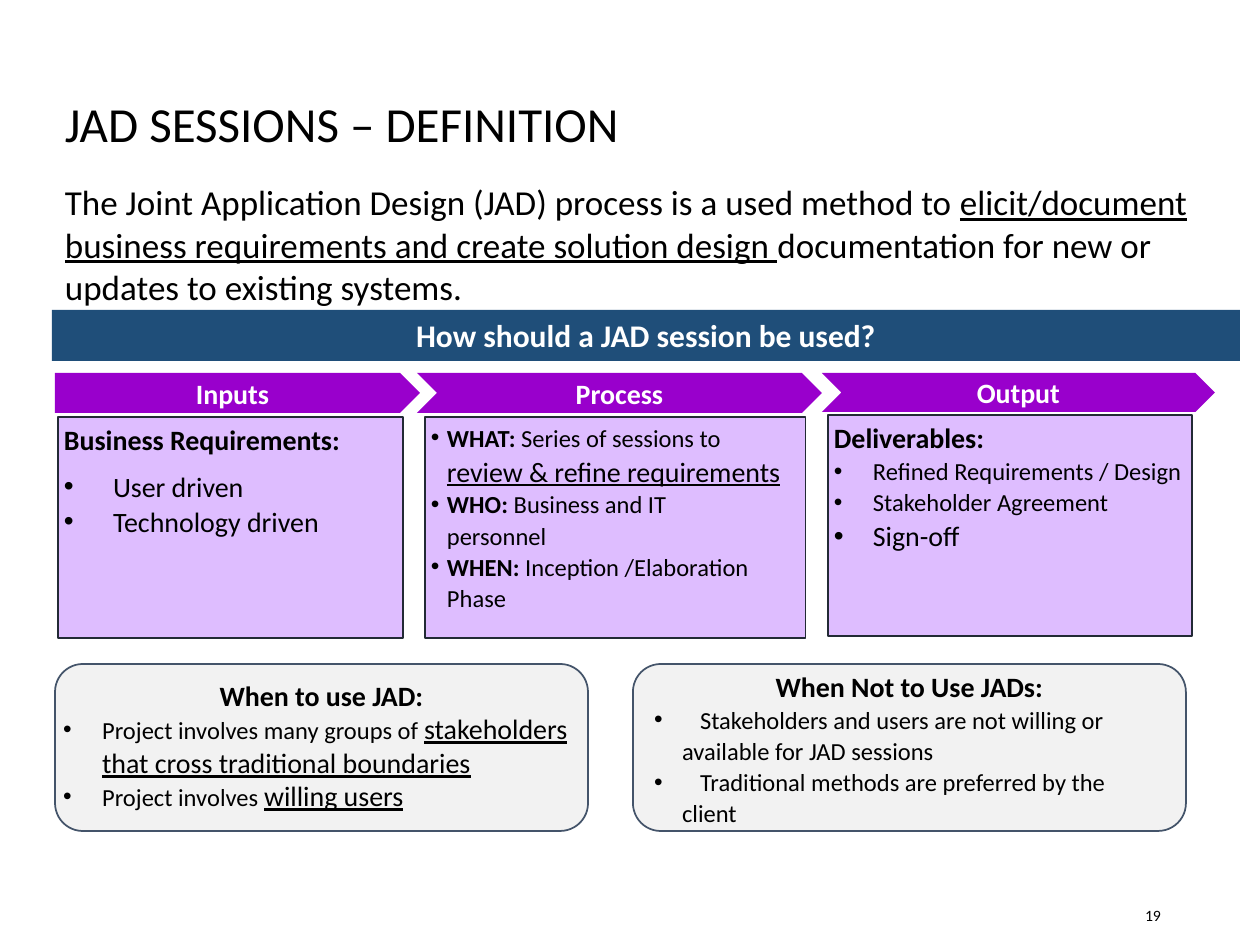
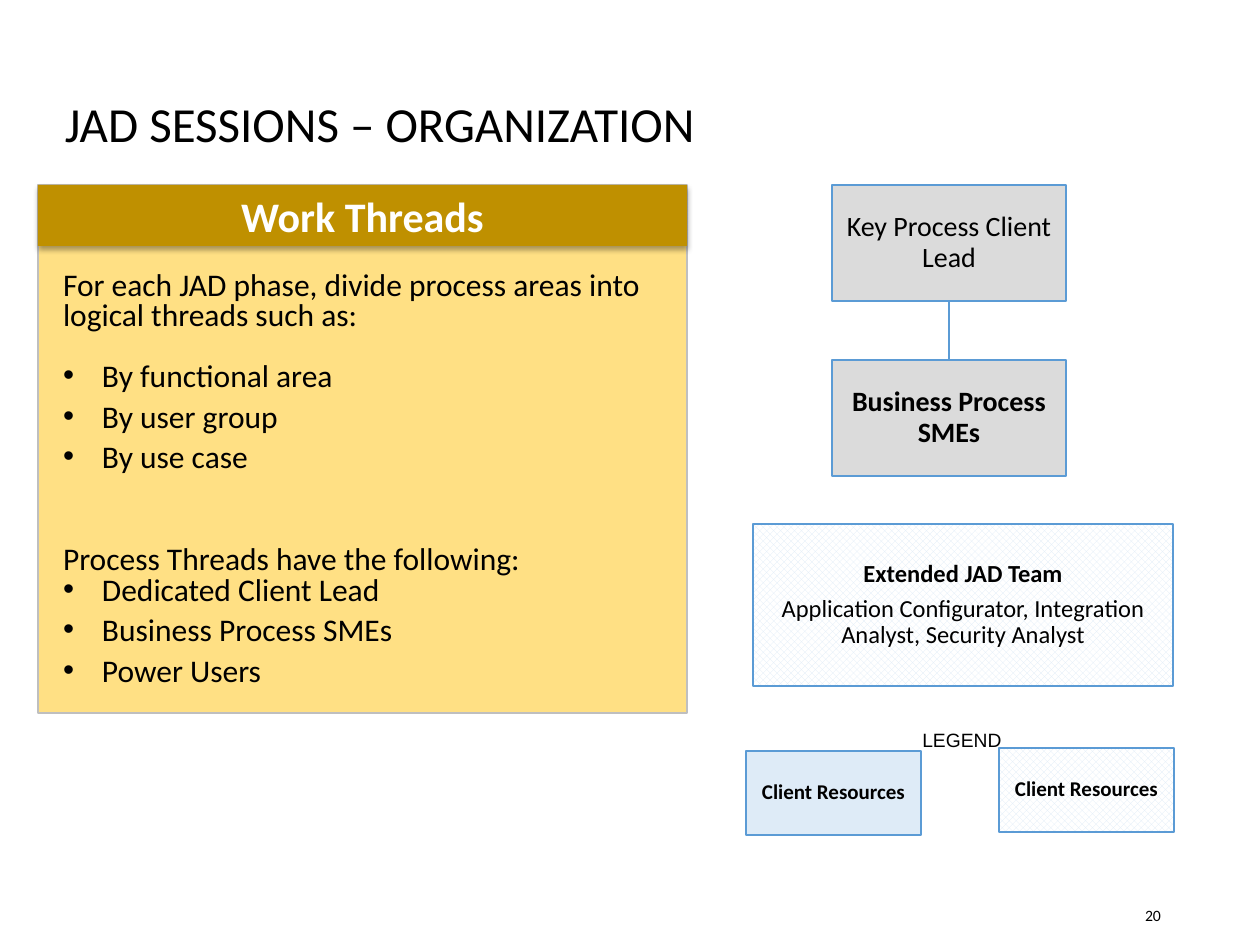
import pptx
import pptx.util
import pptx.dml.color
import pptx.enum.dml
import pptx.enum.shapes
import pptx.enum.text
import pptx.oxml
import pptx.oxml.ns

PX = 914400 / 126
FONT = "Calibri"
SHAPES = pptx.enum.shapes.MSO_SHAPE
ALIGN = pptx.enum.text.PP_ALIGN
ANCHOR = pptx.enum.text.MSO_ANCHOR
BLACK, WHITE, BLUE, PALE_BLUE = "000000", "FFFFFF", "5B9BD5", "DEEBF7"
NAVY, PURPLE, LILAC, INK = "1F4E79", "9900CC", "DEBDFF", "222A35"
CARD_GREY, CARD_LINE, GREY = "F2F2F2", "44546A", "DBDBDB"
GOLD, YELLOW, YELLOW_LINE = "BF9000", "FFD966", "BFBFBF"
TITLE_AREA, NUMBER_AREA = (52, 86, 1097, 82), (890, 890, 284, 50)
TIGHT = (6, 4, 6, 4)

# Span formats; a paragraph is (spans, format), a span is text or (text, format)
BOLD = {"bold": True}
MARKED = {"underline": True}
BIG_MARKED = {"underline": True, "size": 16}
CENTRED = {"align": ALIGN.CENTER}

# Content of the definition slide
DEFINITION_TITLE = "JAD SESSIONS – DEFINITION"
DEFINITION = [([
    "The Joint Application Design (JAD) process is a used method to ",
    ("elicit/document business requirements and create solution design ", MARKED),
    "documentation for new or updates to existing systems."], {})]
QUESTION = "How should a JAD session be used?"
STAGES = [
    {"name": "Inputs", "arrow": (55, 373, 365, 40), "panel": (58, 417, 345, 221),
     "arrow_shape": SHAPES.PENTAGON, "size": 16, "body": [
         ([("Business Requirements:", BOLD)], {"after": 6}),
         (["User driven"], {"hang": 49}),
         (["Technology driven"], {"hang": 49})]},
    {"name": "Process", "arrow": (417, 373, 405, 40), "panel": (425, 417, 381, 221),
     "arrow_shape": SHAPES.CHEVRON, "size": 14, "body": [
         ([("WHAT: ", BOLD), "Series of sessions to ",
           ("review & refine requirements", BIG_MARKED)], {"hang": 16}),
         ([("WHO: ", BOLD), "Business and IT"], {"hang": 16}),
         (["personnel"], {"left": 16}),
         ([("WHEN: ", BOLD), "Inception /Elaboration Phase"], {"hang": 16})]},
    {"name": "Output", "arrow": (822, 373, 393, 39), "panel": (828, 415, 364, 221),
     "arrow_shape": SHAPES.CHEVRON, "size": 14, "body": [
         ([("Deliverables:", {"bold": True, "size": 16})], {}),
         (["Refined Requirements / Design"], {"hang": 39}),
         (["Stakeholder Agreement"], {"hang": 39}),
         ([("Sign-off", {"size": 16})], {"hang": 39})]},
]
HEADING = {"bold": True, "size": 16}
CARDS = [
    ((55, 664, 533, 167), {"insets": (0, 6, 0, 6)}, [
        ([("When to use JAD:", HEADING)], CENTRED),
        (["Project involves many groups of ",
          ("stakeholders that cross traditional boundaries", BIG_MARKED)], {"hang": 39}),
        (["Project involves ", ("willing users", BIG_MARKED)], {"hang": 39})]),
    ((633, 664, 553, 167), {"anchor": ANCHOR.MIDDLE, "spacing": 1.06}, [
        ([("When Not to Use JADs:", HEADING)], CENTRED),
        (["Stakeholders and users are not willing or"], {"hang": 46}),
        (["available for JAD sessions"], {"left": 28}),
        (["Traditional methods are preferred by the"], {"hang": 46}),
        (["client"], {"left": 28})]),
]

# Content of the organization slide
ORGANIZATION_TITLE = "JAD SESSIONS – ORGANIZATION"
THREADS_HEADING = "Work Threads"
LISTS = [
    ("For each JAD phase, divide process areas into logical threads such as:",
     {"after": 17.5}, ["By functional area", "By user group", "By use case"]),
    ("Process Threads have the following:",
     {"before": 35}, ["Dedicated Client Lead", "Business Process SMEs", "Power Users"]),
]
CLIENT_LEAD = [(["Key Process Client Lead"], {})]
PROCESS_SMES = [([("Business Process SMEs", BOLD)], {})]
EXTENDED_TEAM = [
    ([("Extended JAD Team", BOLD)], {"after": 5}),
    (["Application Configurator, Integration Analyst, Security Analyst"], {})]
LEGEND_TITLE = "LEGEND"
LEGEND_ENTRY = [([("Client Resources", BOLD)], {})]


def px(length):
    return pptx.util.Emu(round(length * PX))


def colour(code):
    return pptx.dml.color.RGBColor.from_string(code)


def add_xml(parent, tag, **attributes):
    """Append one DrawingML element and return it."""
    child = pptx.oxml.parse_xml(f"<a:{tag} {pptx.oxml.ns.nsdecls('a')}/>")
    for name, value in attributes.items():
        child.set(name, str(value))
    parent.append(child)
    return child


def write(shape, text, size=14, color=BLACK, bold=False, font=FONT, align=ALIGN.LEFT,
          anchor=ANCHOR.TOP, insets=(13, 6, 13, 6), spacing=1.0):
    """Fill a shape with a string or a list of (spans, format) paragraphs."""
    frame = shape.text_frame
    frame.word_wrap = True
    frame.auto_size = pptx.enum.text.MSO_AUTO_SIZE.NONE
    frame.vertical_anchor = anchor
    (frame.margin_left, frame.margin_top,
     frame.margin_right, frame.margin_bottom) = map(px, insets)
    paragraphs = [([text], {})] if isinstance(text, str) else text
    for index, (spans, form) in enumerate(paragraphs):
        para = frame.add_paragraph() if index else frame.paragraphs[0]
        para.alignment = form.get("align", align)
        para.line_spacing = spacing
        para.space_before = pptx.util.Pt(form.get("before", 0))
        para.space_after = pptx.util.Pt(form.get("after", 0))
        hang = form.get("hang", 0)
        properties = para._p.get_or_add_pPr()
        properties.set("marL", str(px(form.get("left", hang))))
        properties.set("indent", str(px(-hang)))
        if hang:
            add_xml(properties, "buFont", typeface="Arial")
            add_xml(properties, "buChar", char="•")
        for item in spans:
            words, look = (item, {}) if isinstance(item, str) else item
            span = para.add_run()
            span.text = words
            span.font.name = font
            span.font.size = pptx.util.Pt(look.get("size", size))
            span.font.bold = look.get("bold", bold)
            span.font.underline = look.get("underline", False)
            span.font.color.rgb = colour(color)


def add_label(page, area, text, **form):
    box = page.shapes.add_textbox(*map(px, area))
    write(box, text, **form)
    return box


def add_box(page, area, text, fill, kind=SHAPES.RECTANGLE, line=None, line_width=0.75,
            pattern=False, **form):
    box = page.shapes.add_shape(kind, *map(px, area))
    box.shadow.inherit = False
    if pattern:
        box.fill.patterned()
        box.fill.pattern = pptx.enum.dml.MSO_PATTERN.OUTLINED_DIAMOND
        box.fill.fore_color.rgb = colour(fill)
        box.fill.back_color.rgb = colour(WHITE)
    else:
        box.fill.solid()
        box.fill.fore_color.rgb = colour(fill)
    if line:
        box.line.color.rgb = colour(line)
        box.line.width = pptx.util.Pt(line_width)
    else:
        box.line.fill.background()
    write(box, text, **form)
    return box


def add_page(deck, title, number):
    """Start a slide with the shared title and slide number."""
    page = deck.slides.add_slide(deck.slide_layouts[5])
    holder = page.shapes.title
    holder.left, holder.top, holder.width, holder.height = map(px, TITLE_AREA)
    write(holder, title, size=28, anchor=ANCHOR.MIDDLE, spacing=0.9)
    add_label(page, NUMBER_AREA, str(number), size=9, align=ALIGN.RIGHT,
              anchor=ANCHOR.MIDDLE)
    return page


def build_definition(deck):
    page = add_page(deck, DEFINITION_TITLE, 19)
    add_label(page, (52, 175, 1208, 140), DEFINITION, size=20)
    banner = {"color": WHITE, "bold": True, "align": ALIGN.CENTER}
    add_box(page, (52, 310, 1188, 51), QUESTION, NAVY, size=18, **banner)
    # Input, process and output columns
    for stage in STAGES:
        add_box(page, stage["arrow"], stage["name"], PURPLE, kind=stage["arrow_shape"],
                size=16, anchor=ANCHOR.MIDDLE, insets=(0, 6, 0, 6), **banner)
        add_box(page, stage["panel"], stage["body"], LILAC, line=INK,
                size=stage["size"], insets=TIGHT, spacing=1.06)
    # Advice cards
    for area, form, body in CARDS:
        add_box(page, area, body, CARD_GREY, kind=SHAPES.ROUNDED_RECTANGLE,
                line=CARD_LINE, line_width=1, **form)


def build_organization(deck):
    page = add_page(deck, ORGANIZATION_TITLE, 20)
    # Client chain
    node = {"align": ALIGN.CENTER, "anchor": ANCHOR.MIDDLE, "insets": TIGHT,
            "spacing": 0.9, "line": BLUE}
    lead, smes = [add_box(page, (832, top, 234, 116), text, GREY, size=16, **node)
                  for top, text in ((185, CLIENT_LEAD), (360, PROCESS_SMES))]
    link = page.shapes.add_connector(pptx.enum.shapes.MSO_CONNECTOR.STRAIGHT, 0, 0, 0, 0)
    link.begin_connect(lead, 2)
    link.end_connect(smes, 0)
    link.line.color.rgb = colour(BLUE)
    link.line.width = pptx.util.Pt(1)
    add_xml(link._element.spPr, "effectLst")
    # Extended team and legend
    add_box(page, (753, 524, 420, 162), EXTENDED_TEAM, PALE_BLUE, pattern=True, **node)
    for left, top, pattern in ((746, 751, False), (999, 748, True)):
        add_box(page, (left, top, 175, 84), LEGEND_ENTRY, PALE_BLUE, pattern=pattern,
                size=12, **node)
    add_label(page, (839, 721, 246, 35), LEGEND_TITLE, size=11, font="Arial",
              align=ALIGN.CENTER, spacing=1.06)
    # Work threads panel and its heading
    threads = []
    for intro, gaps, entries in LISTS:
        threads.append(([intro], gaps))
        threads += [([entry], {"hang": 39, "after": 6}) for entry in entries]
    panel = add_box(page, (38, 185, 649, 528), threads, YELLOW, line=YELLOW_LINE,
                    size=18, insets=(25, 87, 13, 13), spacing=0.8)
    tint = panel._element.spPr.find(".//" + pptx.oxml.ns.qn("a:srgbClr"))
    add_xml(tint, "alpha", val=80000)
    heading = add_box(page, (38, 185, 649, 61), THREADS_HEADING, GOLD, size=24,
                      color=WHITE, bold=True, align=ALIGN.CENTER, anchor=ANCHOR.MIDDLE)
    effects = heading._element.spPr.find(pptx.oxml.ns.qn("a:effectLst"))
    shadow = add_xml(effects, "outerShdw", blurRad=39370, dist=22860, dir=5400000,
                     rotWithShape=0)
    add_xml(add_xml(shadow, "srgbClr", val=BLACK), "alpha", val=35000)


def main():
    deck = pptx.Presentation()
    deck.slide_width, deck.slide_height = px(1260), px(945)
    build_definition(deck)
    build_organization(deck)
    deck.save("out.pptx")


if __name__ == "__main__":
    main()
